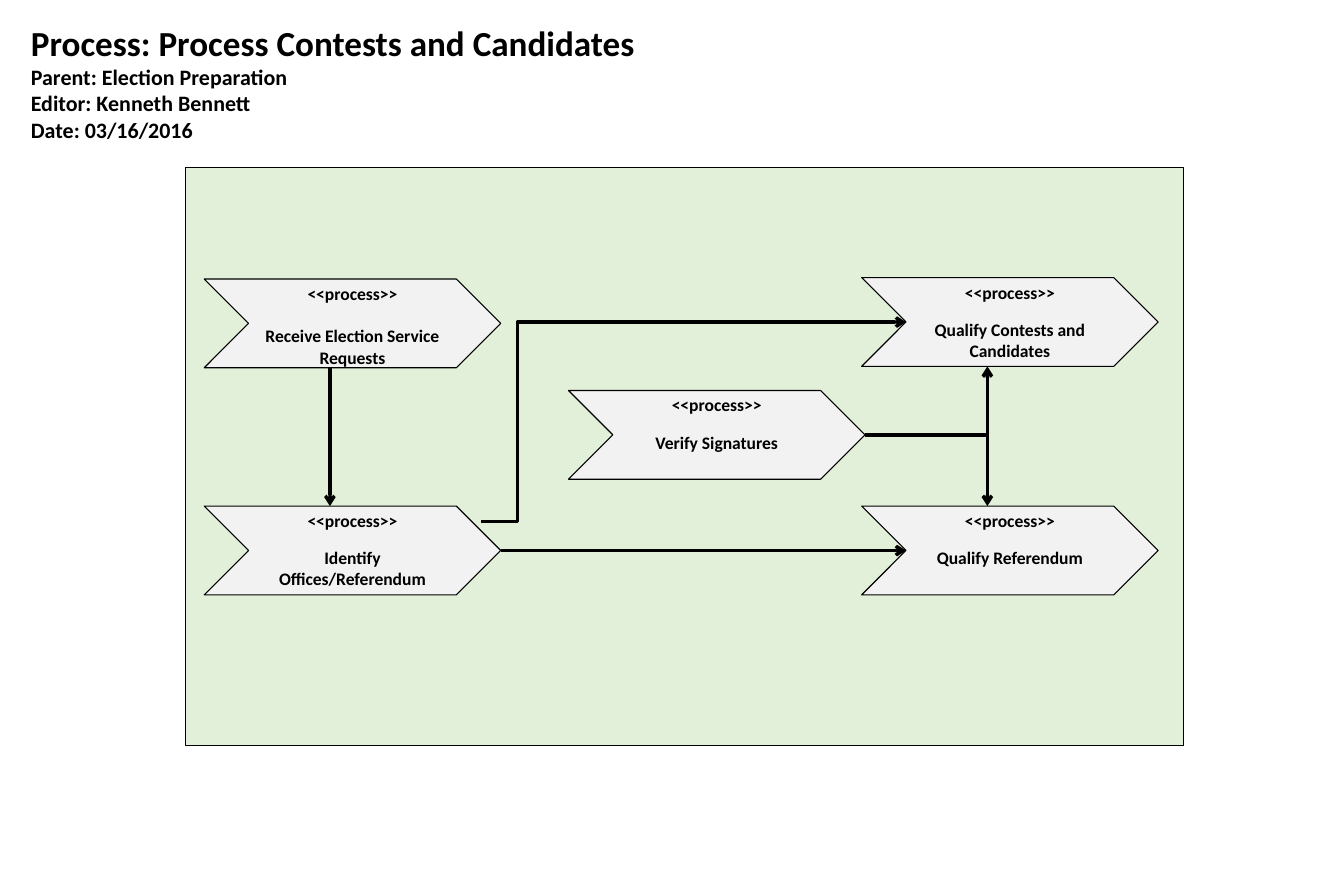
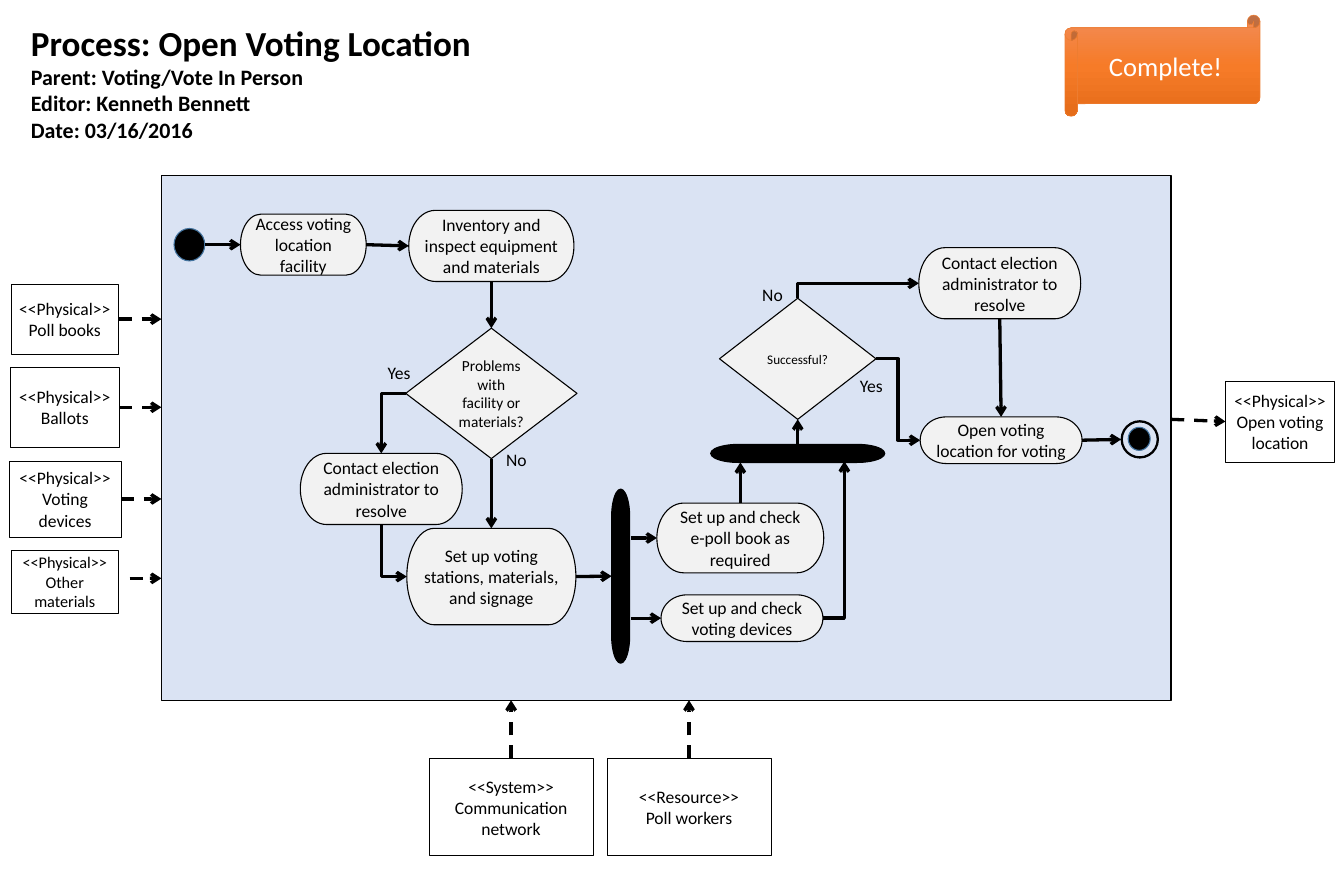
"""Build two election process diagrams as native slides."""
import copy
from dataclasses import dataclass

import pptx
import pptx.dml.color
import pptx.enum.dml
import pptx.enum.shapes
import pptx.enum.text
import pptx.oxml
import pptx.oxml.ns
import pptx.shapes.autoshape
import pptx.util

Pt = pptx.util.Pt
qn = pptx.oxml.ns.qn
KIND = pptx.enum.shapes.MSO_SHAPE
LINK = pptx.enum.shapes.MSO_CONNECTOR
ANCHOR = pptx.enum.text.MSO_ANCHOR
ALIGN = pptx.enum.text.PP_ALIGN
TOP, LEFT, BOTTOM, RIGHT = range(4)
SIDES = {TOP: (0.5, 0), LEFT: (0, 0.5), BOTTOM: (0.5, 1), RIGHT: (1, 0.5)}


@dataclass(frozen=True)
class Theme:
    font: str = "Calibri"
    ink: str = "000000"
    white: str = "FFFFFF"
    node: str = "F2F2F2"
    green: str = "E2F0D9"
    blue: str = "DAE3F3"
    dot_line: str = "43739E"
    badge_line: str = "ED7D31"
    badge_stops: tuple = ((0, "F18C57"), (0.5, "F67B28"), (1, "E56C19"))
    title: float = 32
    subtitle: float = 20
    body: float = 16
    fitted: float = 14.8
    decision: float = 14
    small: float = 12
    badge: float = 24.2


def rgb(value):
    return pptx.dml.color.RGBColor.from_string(value)


def apply(target, values):
    for name, value in values.items():
        setattr(target, name, value)


def side(shape, site):
    across, down = SIDES[site]
    return (shape.left.pt + across * shape.width.pt,
            shape.top.pt + down * shape.height.pt)


class Diagram:
    def __init__(self, theme):
        self.theme = theme
        self.deck = pptx.Presentation()
        apply(self.deck, {"slide_width": Pt(1224), "slide_height": Pt(792)})
        self.slide = None

    def page(self, process, parent, panel, fill):
        self.slide = self.deck.slides.add_slide(self.deck.slide_layouts[6])
        theme = self.theme
        lines = [f"Process: {process}", f"Parent: {parent}",
                 "Editor: Kenneth Bennett", "Date: 03/16/2016"]
        sizes = [theme.title] + [theme.subtitle] * 3
        self.label((21, 16, 871, 119), lines, sizes, bold=True, align=ALIGN.LEFT)
        self.shape(KIND.RECTANGLE, panel, fill)

    def set_text(self, shape, lines, sizes, bold=False, align=ALIGN.CENTER,
                 color=None, anchor=ANCHOR.MIDDLE, gap=0):
        frame = shape.text_frame
        apply(frame, {"word_wrap": True, "vertical_anchor": anchor})
        for index, (line, size) in enumerate(zip(lines, sizes)):
            para = frame.add_paragraph() if index else frame.paragraphs[0]
            para.alignment = align
            if index and gap:
                para.space_before = Pt(gap)
            span = para.add_run()
            span.text = line
            apply(span.font, {"name": self.theme.font, "size": Pt(size), "bold": bold})
            span.font.color.rgb = rgb(color or self.theme.ink)

    def label(self, box, lines, sizes, **style):
        text = self.slide.shapes.add_textbox(*map(Pt, box))
        self.set_text(text, lines, sizes, anchor=ANCHOR.TOP, **style)
        text.text_frame.auto_size = pptx.enum.text.MSO_AUTO_SIZE.SHAPE_TO_FIT_TEXT

    def shape(self, kind, box, fill=None, line=None, weight=1, turn=0):
        shape = self.slide.shapes.add_shape(kind, *map(Pt, box))
        shape.shadow.inherit = False
        if fill:
            shape.fill.solid()
            shape.fill.fore_color.rgb = rgb(fill)
        else:
            shape.fill.background()
        shape.line.color.rgb = rgb(line or self.theme.ink)
        shape.line.width = Pt(weight)
        shape.rotation = turn
        return shape

    def chevron(self, box, name, gap=14.65):
        shape = self.shape(KIND.CHEVRON, box, self.theme.node)
        self.set_text(shape, ["<<process>>", name], [self.theme.body] * 2,
                      bold=True, anchor=ANCHOR.TOP, gap=gap)

    def node(self, box, *lines, kind=KIND.FLOWCHART_TERMINATOR, size=None):
        shape = self.shape(kind, box, self.theme.node)
        self.set_text(shape, lines, [size or self.theme.body] * len(lines))
        return shape

    def resource(self, box, role, name, size=None):
        shape = self.shape(KIND.FLOWCHART_PROCESS, box, weight=0.5)
        self.set_text(shape, [f"<<{role}>>", name], [size or self.theme.body] * 2)
        return shape

    def dot(self, box):
        self.shape(KIND.FLOWCHART_CONNECTOR, box, self.theme.ink, self.theme.dot_line)

    def bar(self, box, turn):
        self.shape(KIND.FLOWCHART_TERMINATOR, box, self.theme.ink, turn=turn)

    def badge(self, box, text):
        shape = self.shape(KIND.HORIZONTAL_SCROLL, box,
                           line=self.theme.badge_line, weight=0.5)
        shape.fill.gradient()
        shape.fill.gradient_angle = 270
        stops = shape._element.spPr.find(".//" + qn("a:gsLst"))
        stops.insert(1, copy.deepcopy(stops[0]))
        for stop, (position, color) in zip(shape.fill.gradient_stops,
                                           self.theme.badge_stops):
            stop.position = position
            stop.color.rgb = rgb(color)
        self.set_text(shape, [text], [self.theme.badge], color=self.theme.white)

    def connector(self, kind, start, end, dashed=False):
        line = self.slide.shapes.add_connector(kind, *map(Pt, (*start, *end)))
        line.line.color.rgb = rgb(self.theme.ink)
        line.line.width = Pt(3)
        if dashed:
            line.line.dash_style = pptx.enum.dml.MSO_LINE.DASH
        properties = line._element.spPr
        head = pptx.oxml.parse_xml(
            f'<a:tailEnd {pptx.oxml.ns.nsdecls("a")} type="arrow"/>')
        properties.find(qn("a:ln")).append(head)
        properties.append(pptx.oxml.parse_xml(
            f'<a:effectLst {pptx.oxml.ns.nsdecls("a")}/>'))
        return line

    def arrow(self, start, end, dashed=False):
        ends = [start, end]
        joined = [isinstance(item[0], pptx.shapes.autoshape.Shape) for item in ends]
        points = [side(*item) if join else item for item, join in zip(ends, joined)]
        line = self.connector(LINK.STRAIGHT, *points, dashed=dashed)
        for join, item, connect in zip(joined, ends,
                                       (line.begin_connect, line.end_connect)):
            if join:
                connect(*item)

    def corner(self, start, end, vertical_first=False):
        if vertical_first:
            (x1, y1), (x2, y2) = start, end
            x, y = (x1 + x2) / 2, (y1 + y2) / 2
            across, down = (x2 - x1) / 2, (y2 - y1) / 2
            start, end = (x - down, y + across), (x + down, y - across)
        line = self.connector(LINK.ELBOW, start, end)
        properties = line._element.spPr
        properties.find(qn("a:prstGeom")).set("prst", "bentConnector2")
        if vertical_first:
            properties.find(qn("a:xfrm")).set("rot", "5400000")

    def step(self, start, end, share=0.5):
        line = self.connector(LINK.ELBOW, start, end)
        guides = line._element.spPr.find(qn("a:prstGeom")).get_or_add_avLst()
        guides.append(pptx.oxml.parse_xml(
            f'<a:gd {pptx.oxml.ns.nsdecls("a")} name="adj1" '
            f'fmla="val {round(share * 100000)}"/>'))


def contests_page(diagram):
    diagram.page("Process Contests and Candidates", "Election Preparation",
                 (169, 152.75, 909, 526.25), diagram.theme.green)
    size = (270, 80.75)
    left, middle, right = 186, 517.75, 784.75
    upper, lower = 252.75, 460.75
    diagram.chevron((left, 254, *size), "Receive Election Service Requests", gap=19.5)
    diagram.chevron((right, lower, *size), "Qualify Referendum")
    diagram.chevron((middle, 355.5, *size), "Verify Signatures")
    diagram.chevron((right, upper, *size), "Qualify Contests and Candidates")
    diagram.chevron((left, lower, *size), "Identify Offices/Referendum")
    notch, tip, branch = 825.25, 456, (787.75, 396)
    diagram.arrow((tip, 501.25), (notch, 501.25))
    diagram.arrow((300.5, 334.75), (300.5, lower))
    diagram.step((438.5, 474.5), (notch, 293.25), 0.085)
    for edge in (upper + size[1], lower):
        diagram.corner(branch, (899.25, edge))


def voting_page(diagram):
    theme = diagram.theme
    panel_left, panel_right, panel_bottom = 147, 1066.5, 637.5
    diagram.page("Open Voting Location", "Voting/Vote In Person",
                 (panel_left, 160, panel_right - panel_left, panel_bottom - 160),
                 theme.blue)

    for box, name in (((10, 258.5, 98, 64), "Poll books"),
                      ((9.5, 334, 99, 73.5), "Ballots"),
                      ((8.5, 419.75, 101.5, 69), "Voting devices")):
        supply = diagram.resource(box, "Physical", name)
        diagram.arrow((supply, RIGHT), (panel_left, side(supply, RIGHT)[1]), True)
    diagram.resource((10, 501, 98, 57.5), "Physical", "Other materials", theme.fitted)
    diagram.arrow((118, 526.5), (panel_left, 526.5), True)
    for x, role, name in ((391, "System", "Communication network"),
                          (553, "Resource", "Poll workers")):
        support = diagram.resource((x, 690.5, 149, 88.5), role, name)
        diagram.arrow((support, TOP), (side(support, TOP)[0], panel_bottom), True)
    result = diagram.resource((1116, 347, 99.5, 73.5), "Physical", "Open voting location")
    diagram.arrow((panel_right, 381.75), (result, LEFT), True)

    contact = "Contact election administrator to resolve"
    access = diagram.node((219, 195, 114.5, 55.5), "Access voting location facility")
    inventory = diagram.node((372.25, 191.5, 150.5, 64.75),
                             "Inventory and inspect equipment and materials")
    problems = diagram.node((369.5, 298.75, 156, 118.75),
                            "Problems with facility or materials?",
                            kind=KIND.FLOWCHART_DECISION, size=theme.decision)
    first_contact = diagram.node((273.5, 412.75, 147.5, 64.75), contact)
    stations = diagram.node((370.5, 481, 154, 87.75),
                            "Set up voting stations, materials, and signage")
    poll_book = diagram.node((598.25, 458, 152, 63.5),
                             "Set up and check", "e-poll book as required")
    devices = diagram.node((602, 541.5, 147.5, 42.5), "Set up and check voting devices")
    success = diagram.node((655.25, 271.5, 142.5, 110.25), "Successful?",
                           kind=KIND.FLOWCHART_DECISION, size=theme.small)
    second_contact = diagram.node((836.75, 225.5, 147.5, 64.75), contact)
    opening = diagram.node((838, 379.5, 147.5, 42.5), "Open voting location for voting")
    diagram.dot((158.5, 208, 28, 29.5))
    ring = diagram.shape(KIND.DONUT, (1021, 383, 34, 34), theme.ink)
    ring.adjustments[0] = 0.032
    diagram.dot((1027.5, 389, 20, 21))
    diagram.bar((486, 516.25, 158.5, 16.5), 270)
    diagram.bar((647.25, 404.5, 158.5, 16.5), 180)

    for start, end in (((186.5, 222.75), (access, LEFT)),
                       ((access, RIGHT), (inventory, LEFT)),
                       ((inventory, BOTTOM), (problems, TOP)),
                       ((problems, BOTTOM), (stations, TOP)),
                       ((stations, RIGHT), (557, 524.5)),
                       ((574.5, 489.75), (poll_book, LEFT)),
                       ((574.5, 562.75), (devices, LEFT)),
                       ((poll_book, TOP), (674.25, 421)),
                       ((726.5, 404.5), (success, BOTTOM)),
                       ((second_contact, BOTTOM), (opening, TOP)),
                       ((opening, RIGHT), (1021, 400))):
        diagram.arrow(start, end)
    diagram.corner(side(problems, LEFT), side(first_contact, TOP))
    diagram.corner(side(devices, RIGHT), (769, 420))
    diagram.corner(side(first_contact, BOTTOM), side(stations, LEFT), True)
    diagram.corner(side(success, TOP), side(second_contact, LEFT), True)
    diagram.step(side(success, RIGHT), side(opening, LEFT))

    for x, y, answer in ((339, 325.5, "Yes"), (445.75, 405.5, "No"),
                         (679, 255, "No"), (769, 337.75, "Yes")):
        diagram.label((x, y, 49, 26.5), [answer], [theme.body])
    diagram.badge((969.75, 13.75, 177.75, 92.25), "Complete!")


def main():
    diagram = Diagram(Theme())
    contests_page(diagram)
    voting_page(diagram)
    diagram.deck.save("out.pptx")


if __name__ == "__main__":
    main()
